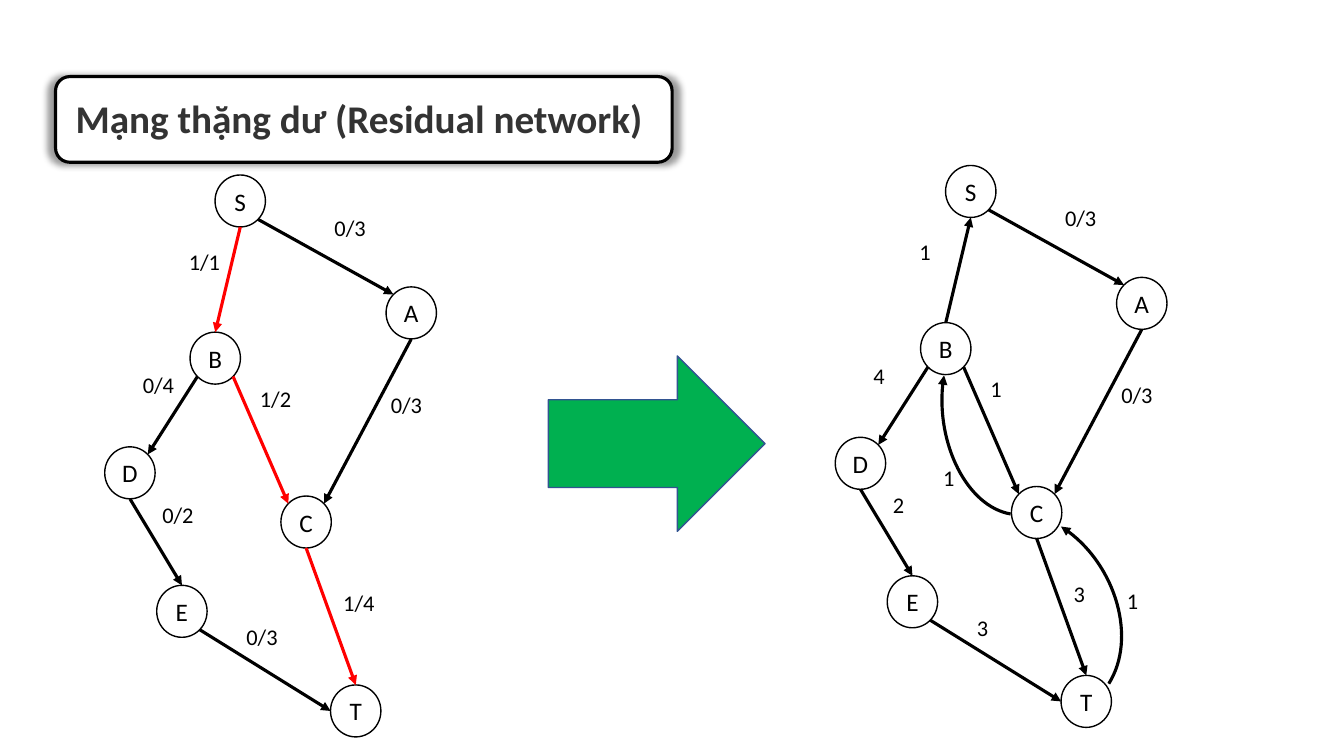
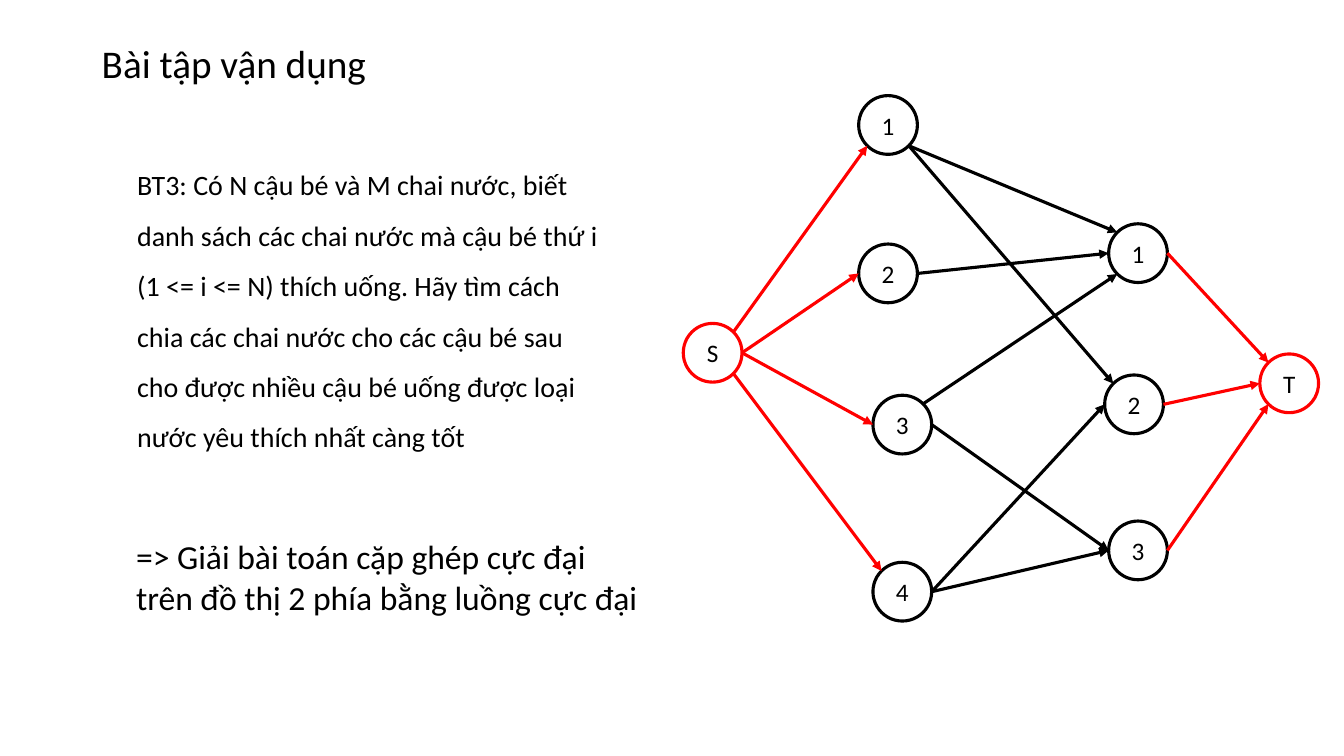
from dataclasses import dataclass
from typing import Optional

from lxml import etree
from pptx import Presentation
from pptx import util as u
from pptx.dml.color import RGBColor
from pptx.enum import shapes, text
from pptx.oxml.ns import qn

COLORS = {"ink": "000000", "title": "333333", "paper": "FFFFFF",
          "flow": "FF0000", "arrow": "00B050", "arrow_edge": "325491"}
FONT = "Calibri"
EDGE_WIDTH = 2.25

# Connection sites of an ellipse, counter-clockwise from the top
TOP, TOP_LEFT, LEFT, BOTTOM_LEFT, BOTTOM, BOTTOM_RIGHT, RIGHT, TOP_RIGHT = range(8)
DIAG = 0.5 ** 0.5
SITE_DIRS = [(0, -1), (-DIAG, -DIAG), (-1, 0), (-DIAG, DIAG),
             (0, 1), (DIAG, DIAG), (1, 0), (DIAG, -DIAG)]


@dataclass(frozen=True)
class Node:
    key: str
    x: float
    y: float
    label: str
    color: str = "ink"


@dataclass(frozen=True)
class Edge:
    start: str
    start_site: int
    end: str
    end_site: int
    color: str = "ink"


@dataclass(frozen=True)
class Label:
    x: float
    y: float
    text: str
    residual: Optional[str] = None


@dataclass(frozen=True)
class Curve:
    x1: float
    y1: float
    x2: float
    y2: float
    angle: int


# Flow network; the residual network is the same drawing, shifted
SHIFT = (18.41, -0.24)
FLOW_NODES = [Node(k, x, y, k) for k, x, y in [
    ("S", 5.42, 4.41), ("A", 9.73, 7.23), ("T", 8.33, 17.26), ("B", 4.79, 8.37),
    ("D", 2.64, 11.26), ("C", 7.08, 12.5), ("E", 3.95, 14.75)]]
FORWARD = Edge("S", BOTTOM, "B", TOP, "flow")
BACKWARD = Edge("B", TOP, "S", BOTTOM)
FLOW_EDGES = [
    Edge("B", BOTTOM_LEFT, "D", TOP_RIGHT),
    Edge("D", BOTTOM, "E", TOP),
    Edge("S", BOTTOM_RIGHT, "A", TOP_LEFT),
    Edge("A", BOTTOM, "C", TOP_RIGHT),
    Edge("C", BOTTOM, "T", TOP, "flow"),
    Edge("E", BOTTOM_RIGHT, "T", LEFT),
    Edge("B", BOTTOM_RIGHT, "C", TOP_LEFT, "flow"),
]
LABELS = [
    Label(8.18, 5.26, "0/3", "0/3"), Label(4.51, 6.12, "1/1", "1"),
    Label(3.35, 9.24, "0/4", "4"), Label(3.84, 12.5, "0/2", "2"),
    Label(9.6, 9.72, "0/3", "0/3"), Label(8.4, 14.73, "1/4", "3"),
    Label(5.96, 15.58, "0/3", "3"), Label(6.3, 9.57, "1/2", "1"),
]
BACK_LABELS = [Label(23.52, 11.58, "1"), Label(28.15, 14.66, "1")]
BACK_CURVES = [Curve(23.5, 9.63, 25.76, 12.78, 190),
               Curve(25.98, 16.81, 28.7, 13.69, 302)]

# Matching network: boys on the left, bottles on the right
MATCH_NODES = [
    Node("boy1", 21.64, 2.41, "1"), Node("boy2", 21.64, 6.15, "2"),
    Node("boy3", 22, 9.96, "3"), Node("boy4", 22, 14.17, "4"),
    Node("bottle1", 27.94, 5.64, "1"), Node("bottle2", 27.84, 9.45, "2"),
    Node("bottle3", 27.94, 13.13, "3"),
    Node("S", 17.22, 8.15, "S", "flow"), Node("T", 31.75, 8.92, "T", "flow"),
]
MATCH_EDGES = [
    Edge("boy2", RIGHT, "bottle1", LEFT),
    Edge("boy3", TOP_RIGHT, "bottle1", BOTTOM_LEFT),
    Edge("boy4", RIGHT, "bottle2", LEFT),
    Edge("boy4", RIGHT, "bottle3", LEFT),
    Edge("boy3", RIGHT, "bottle3", LEFT),
    Edge("boy1", BOTTOM_RIGHT, "bottle2", TOP_LEFT),
    Edge("boy1", BOTTOM_RIGHT, "bottle1", TOP_LEFT),
    Edge("S", TOP_RIGHT, "boy1", BOTTOM_LEFT, "flow"),
    Edge("S", RIGHT, "boy2", LEFT, "flow"),
    Edge("S", RIGHT, "boy3", LEFT, "flow"),
    Edge("S", BOTTOM_RIGHT, "boy4", TOP_LEFT, "flow"),
    Edge("bottle1", RIGHT, "T", TOP_LEFT, "flow"),
    Edge("bottle2", RIGHT, "T", LEFT, "flow"),
    Edge("bottle3", RIGHT, "T", BOTTOM_LEFT, "flow"),
]


# Shared helpers
def rgb(name: str) -> RGBColor:
    return RGBColor.from_string(COLORS[name])


def place(sp, x: float, y: float, w: float, h: float) -> None:
    sp.left, sp.top, sp.width, sp.height = (u.Cm(v) for v in (x, y, w, h))


def write(sp, words: str, size: int, color: str = "ink", bold: bool = False,
          align=text.PP_ALIGN.LEFT, anchor=text.MSO_ANCHOR.TOP):
    tf = sp.text_frame
    tf.word_wrap = True
    tf.auto_size = text.MSO_AUTO_SIZE.NONE
    tf.vertical_anchor = anchor
    p = tf.paragraphs[0]
    p.alignment = align
    r = p.add_run()
    r.text = words
    r.font.name, r.font.size, r.font.bold = FONT, u.Pt(size), bold
    r.font.color.rgb = rgb(color)
    return p


def add_text(s, x: float, y: float, w: float, h: float, words: str, size: int) -> None:
    write(s.shapes.add_textbox(u.Cm(x), u.Cm(y), u.Cm(w), u.Cm(h)), words, size)


def set_title(s, x: float, y: float, w: float, words: str,
              color: str = "ink", bold: bool = False) -> None:
    place(s.shapes.title, x, y, w, 1.45)
    write(s.shapes.title, words, 28, color, bold)


def add_shape(s, kind, x: float, y: float, w: float, h: float,
              fill: str, line: str, width: float):
    sp = s.shapes.add_shape(kind, u.Cm(x), u.Cm(y), u.Cm(w), u.Cm(h))
    sp.shadow.inherit = False
    sp.fill.solid()
    sp.fill.fore_color.rgb = rgb(fill)
    sp.line.color.rgb = rgb(line)
    sp.line.width = u.Pt(width)
    return sp


# Graph parts
def add_node(s, node: Node, w: float, h: float, width: float, dx: float, dy: float):
    sp = add_shape(s, shapes.MSO_SHAPE.OVAL, node.x + dx, node.y + dy, w, h,
                   "paper", node.color, width)
    tf = sp.text_frame
    tf.margin_left = tf.margin_right = tf.margin_top = tf.margin_bottom = 0
    write(sp, node.label, 18, align=text.PP_ALIGN.CENTER, anchor=text.MSO_ANCHOR.MIDDLE)
    return sp


def add_arrow(s, kind, start: tuple[int, int], end: tuple[int, int], color: str):
    c = s.shapes.add_connector(kind, *start, *end)
    c.line.color.rgb = rgb(color)
    c.line.width = u.Pt(EDGE_WIDTH)
    sp_pr = c.element.spPr
    etree.SubElement(sp_pr.find(qn("a:ln")), qn("a:tailEnd"), type="triangle")
    etree.SubElement(sp_pr, qn("a:effectLst"))
    return c


def site_point(sp, site: int) -> tuple[int, int]:
    dx, dy = SITE_DIRS[site]
    return (round(sp.left + sp.width * (1 + dx) / 2),
            round(sp.top + sp.height * (1 + dy) / 2))


def add_edge(s, edge: Edge, ovals: dict, color: str) -> None:
    start, end = ovals[edge.start], ovals[edge.end]
    c = add_arrow(s, shapes.MSO_CONNECTOR.STRAIGHT, site_point(start, edge.start_site),
                  site_point(end, edge.end_site), color)
    # Ellipses have eight sites, so the joints are written directly
    joints = next(c.element.iter(qn("p:cNvCxnSpPr")))
    for tag, sp, site in (("a:stCxn", start, edge.start_site),
                          ("a:endCxn", end, edge.end_site)):
        etree.SubElement(joints, qn(tag), id=str(sp.shape_id), idx=str(site))


def add_curve(s, curve: Curve) -> None:
    c = add_arrow(s, shapes.MSO_CONNECTOR.CURVE, (u.Cm(curve.x1), u.Cm(curve.y1)),
                  (u.Cm(curve.x2), u.Cm(curve.y2)), "ink")
    sp_pr = c.element.spPr
    sp_pr.find(qn("a:xfrm")).set("rot", str(curve.angle * 60000))
    sp_pr.find(qn("a:prstGeom")).set("prst", "curvedConnector2")


def add_graph(s, nodes: list[Node], edges: list[Edge], w: float, h: float, width: float,
              shift: tuple[float, float] = (0, 0), color: Optional[str] = None) -> None:
    ovals = {n.key: add_node(s, n, w, h, width, *shift) for n in nodes}
    for edge in edges:
        add_edge(s, edge, ovals, color or edge.color)


def add_label(s, x: float, y: float, words: str) -> None:
    add_text(s, x, y, 1.75, 0.94, words, 16)


# Slides
def residual_slide(prs) -> None:
    s = prs.slides.add_slide(prs.slide_layouts[5])
    box = add_shape(s, shapes.MSO_SHAPE.ROUNDED_RECTANGLE, 1.4, 1.93, 15.54, 2.16,
                    "paper", "ink", EDGE_WIDTH)
    glow = etree.SubElement(box.element.spPr.find(qn("a:effectLst")), qn("a:outerShdw"),
                            blurRad=str(u.Pt(5)), sx="102000", sy="102000",
                            algn="ctr", rotWithShape="0")
    tint = etree.SubElement(glow, qn("a:srgbClr"), val=COLORS["ink"])
    etree.SubElement(tint, qn("a:alpha"), val="40000")
    s.shapes.title.element.addprevious(box.element)
    set_title(s, 1.65, 2.24, 15.21, "Mạng thặng dư (Residual network)", "title", True)

    add_graph(s, FLOW_NODES, [FORWARD, *FLOW_EDGES], 1.27, 1.31, 1)
    add_shape(s, shapes.MSO_SHAPE.RIGHT_ARROW, 13.82, 8.97, 5.46, 4.42,
              "arrow", "arrow_edge", 1)
    add_graph(s, FLOW_NODES, [BACKWARD, *FLOW_EDGES], 1.27, 1.31, 1, SHIFT, "ink")
    for curve in BACK_CURVES:
        add_curve(s, curve)
    for label in LABELS:
        add_label(s, label.x, label.y, label.text)
        add_label(s, label.x + SHIFT[0], label.y + SHIFT[1], label.residual)
    for label in BACK_LABELS:
        add_label(s, label.x, label.y, label.text)


def matching_slide(prs) -> None:
    s = prs.slides.add_slide(prs.slide_layouts[1])
    set_title(s, 2.31, 0.86, 13.79, "Bài tập vận dụng")
    body = s.placeholders[1]
    place(body, 3.2, 3.68, 12.19, 7.82)
    p = write(body, "BT3: Có N cậu bé và M chai nước, biết danh sách các chai nước mà "
              "cậu bé thứ i (1 <= i <= N) thích uống. Hãy tìm cách chia các chai nước "
              "cho các cậu bé sau cho được nhiều cậu bé uống được loại nước yêu thích "
              "nhất càng tốt", 20)
    p.line_spacing = 1.5
    p.space_before = u.Pt(0)
    p_pr = p._p.get_or_add_pPr()
    p_pr.set("marL", "0")
    p_pr.set("indent", "0")
    etree.SubElement(p_pr, qn("a:buNone"))
    add_text(s, 3.18, 13.39, 13.39, 2.31, "=> Giải bài toán cặp ghép cực đại trên đồ thị "
             "2 phía bằng luồng cực đại", 24)
    add_graph(s, MATCH_NODES, MATCH_EDGES, 1.48, 1.48, EDGE_WIDTH)


def main() -> None:
    prs = Presentation()
    prs.slide_width, prs.slide_height = u.Cm(33.87), u.Cm(19.05)
    residual_slide(prs)
    matching_slide(prs)
    prs.save("out.pptx")


if __name__ == "__main__":
    main()
